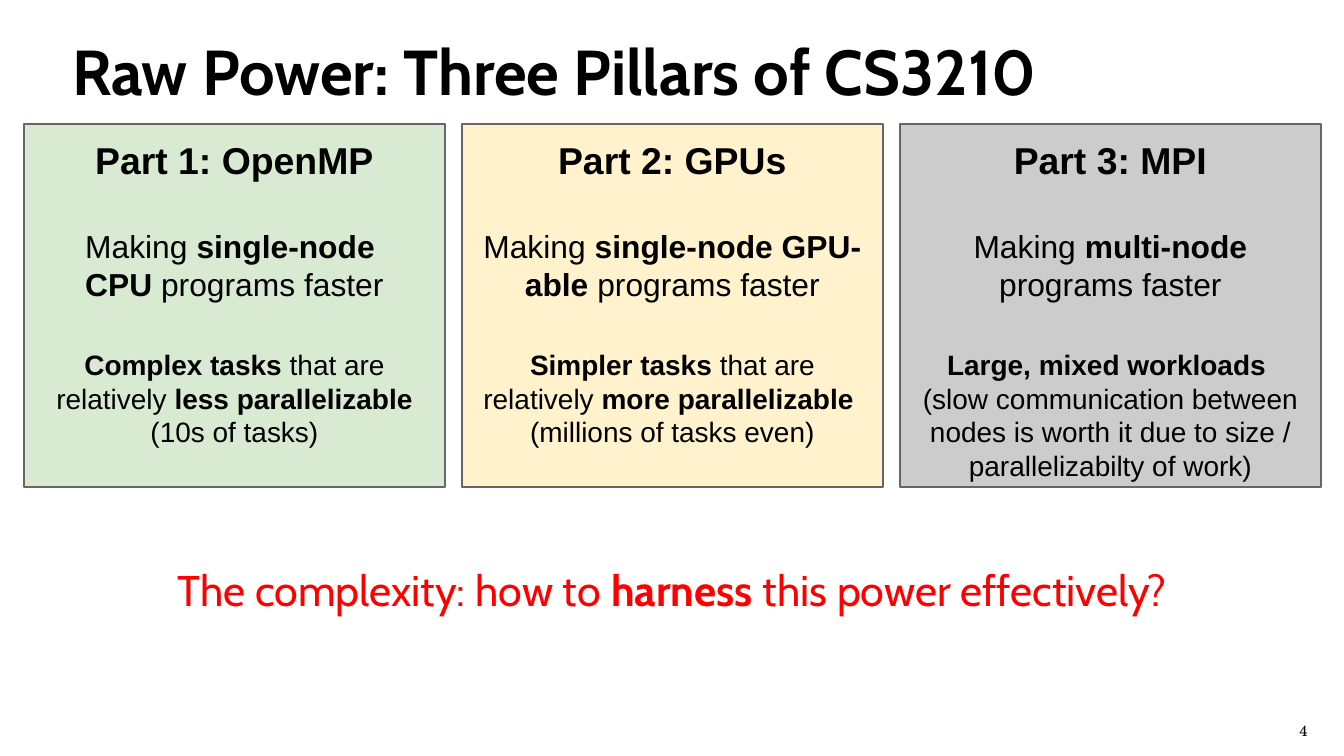
"""Build the slide on the three pillars of CS3210 with python-pptx."""
import pptx
import pptx.dml.color
import pptx.enum.shapes
import pptx.enum.text
import pptx.util


class Theme:
    ink = "000000"
    alert = "FF0000"
    border = "666666"
    pillar_fills = ("D9EAD3", "FFF2CC", "CCCCCC")
    display_font = "Cabin"
    pillar_font = "Arial"
    number_font = "TeX Gyre Schola"
    title_size = 34
    heading_size = 20
    aim_size = 17
    tasks_size = 15
    question_size = 23
    number_size = 8


EMU_PER_PX = 914400 * 10 / 1344
INSET = 13
PILLAR_GAP = 24
LEFT = pptx.enum.text.PP_ALIGN.LEFT
CENTER = pptx.enum.text.PP_ALIGN.CENTER
TOP = pptx.enum.text.MSO_ANCHOR.TOP
MIDDLE = pptx.enum.text.MSO_ANCHOR.MIDDLE


def px(*lengths):
    return [pptx.util.Emu(round(length * EMU_PER_PX)) for length in lengths]


def write(shape, paragraphs, font, color=Theme.ink, align=CENTER, anchor=TOP, spacing=1.0):
    """Fill a shape from (text, size, space before) paragraphs; ** toggles bold."""
    frame = shape.text_frame
    frame.word_wrap = True
    frame.auto_size = pptx.enum.text.MSO_AUTO_SIZE.NONE
    frame.vertical_anchor = anchor
    frame.margin_left, frame.margin_top, frame.margin_right, frame.margin_bottom = px(*[INSET] * 4)
    for index, (text, size, before) in enumerate(paragraphs):
        paragraph = frame.add_paragraph() if index else frame.paragraphs[0]
        paragraph.alignment = align
        paragraph.line_spacing = spacing
        paragraph.space_before = pptx.util.Pt(before)
        paragraph.font.name = font
        paragraph.font.size = pptx.util.Pt(size)
        paragraph.font.color.rgb = pptx.dml.color.RGBColor.from_string(color)
        for part, words in enumerate(text.split("**")):
            for line, piece in enumerate(words.split("\n")):
                if line:
                    paragraph.add_line_break()
                if piece:
                    run = paragraph.add_run()
                    run.text = piece
                    run.font.bold = part % 2 == 1


deck = pptx.Presentation()
deck.slide_width, deck.slide_height = px(1344, 756)
slide = deck.slides.add_slide(deck.slide_layouts[5])

title = slide.shapes.title
title.left, title.top, title.width, title.height = px(59, 19, 1105, 94)
write(title, [("**Raw Power: Three Pillars of CS3210**", Theme.title_size, 0)],
      Theme.display_font, align=LEFT)

pillars = [
    ("Part 1: OpenMP",
     "Making **single-node \nCPU** programs faster",
     "**Complex tasks **that are relatively **less parallelizable **(10s of tasks)"),
    ("Part 2: GPUs",
     "Making **single-node GPU-able** programs faster",
     "**Simpler tasks **that are relatively **more parallelizable \n**(millions of tasks even)"),
    ("Part 3: MPI",
     "Making **multi-node** programs faster",
     "**Large, mixed workloads \n**(slow communication between nodes is worth it "
     "due to size / parallelizabilty of work)"),
]
for column, (heading, aim, tasks) in enumerate(pillars):
    pillar = slide.shapes.add_shape(pptx.enum.shapes.MSO_SHAPE.RECTANGLE,
                                    *px(24 + 438 * column, 124, 421, 363))
    pillar.shadow.inherit = False
    pillar.fill.solid()
    pillar.fill.fore_color.rgb = pptx.dml.color.RGBColor.from_string(Theme.pillar_fills[column])
    pillar.line.color.rgb = pptx.dml.color.RGBColor.from_string(Theme.border)
    pillar.line.width = pptx.util.Pt(0.75)
    write(pillar, [(f"**{heading}**", Theme.heading_size, 0),
                   (aim, Theme.aim_size, PILLAR_GAP),
                   (tasks, Theme.tasks_size, PILLAR_GAP)], Theme.pillar_font)

question = slide.shapes.add_textbox(*px(117, 543, 1111, 79))
write(question, [("The complexity: how to **harness **this power effectively?",
                  Theme.question_size, 0)], Theme.display_font, Theme.alert, spacing=1.15)

page_number = slide.shapes.add_textbox(*px(1263, 710, 81, 42))
write(page_number, [("4", Theme.number_size, 0)], Theme.number_font, anchor=MIDDLE)

deck.save("out.pptx")
